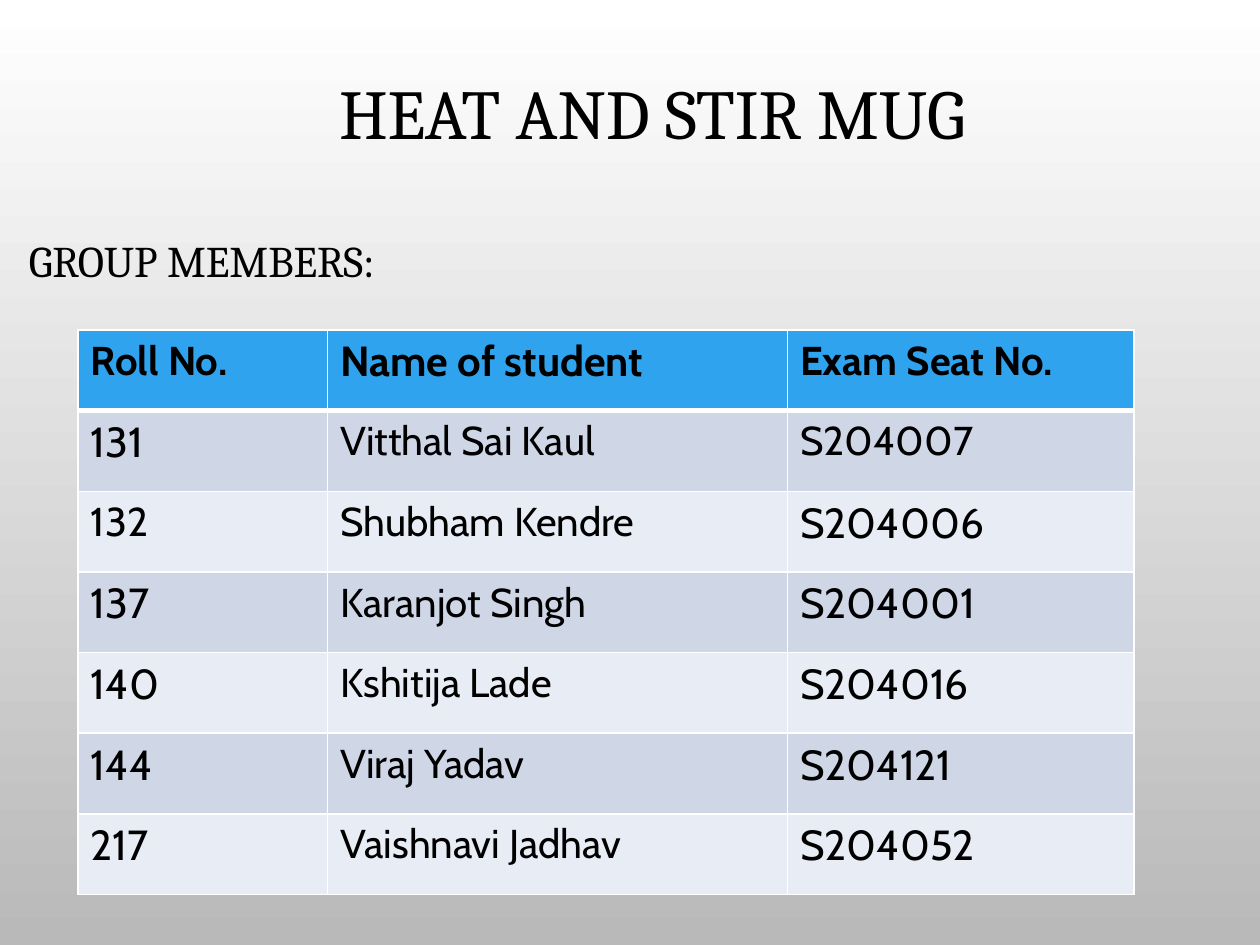
from dataclasses import dataclass

import lxml.etree
import pptx
import pptx.dml.color
import pptx.enum.text
import pptx.oxml.ns
import pptx.util

Inches = pptx.util.Inches
Pt = pptx.util.Pt


@dataclass(frozen=True)
class Theme:
    heading_font: str = "Cambria"
    table_font: str = "Cabin"
    text: str = "000000"
    background_top: str = "FFFFFF"
    background_bottom: str = "B9B9B9"
    border: str = "FFFFFF"
    header_fill: str = "2FA3EE"
    row_fills: tuple[str, str] = ("CFD7E7", "E8ECF4")
    title_size: int = 40
    subtitle_size: int = 25
    small_size: int = 23
    large_size: int = 24


@dataclass(frozen=True)
class Student:
    roll: str
    name: str
    seat: str


THEME = Theme()
HEADINGS = ("Roll No.", "Name of student", "Exam Seat No.")
STUDENTS = (
    Student("131", "Vitthal Sai Kaul", "S204007"),
    Student("132", "Shubham Kendre", "S204006"),
    Student("137", "Karanjot Singh", "S204001"),
    Student("140", "Kshitija Lade", "S204016"),
    Student("144", "Viraj Yadav", "S204121"),
    Student("217", "Vaishnavi Jadhav", "S204052"),
)
# Headings, names and two of the numbers are set in the smaller size
SMALL_TEXTS = {"Roll No.", "Exam Seat No.", "132", "S204007"} | {
    student.name for student in STUDENTS
}
COLUMN_WIDTHS = (1.98, 3.65, 2.75)
ROW_HEIGHT = 0.64


def rgb(value: str) -> pptx.dml.color.RGBColor:
    return pptx.dml.color.RGBColor.from_string(value)


def format_text(paragraph, font_name: str, size: int, bold: bool = False) -> None:
    for run in paragraph.runs:
        run.font.name = font_name
        run.font.size = Pt(size)
        run.font.bold = bold
        run.font.color.rgb = rgb(THEME.text)


def place(shape, left: float, top: float, width: float, height: float) -> None:
    shape.left, shape.top = Inches(left), Inches(top)
    shape.width, shape.height = Inches(width), Inches(height)


def set_borders(cell, bottom_width: int) -> None:
    qn = pptx.oxml.ns.qn
    properties = cell._tc.get_or_add_tcPr()
    widths = {"lnL": 1, "lnR": 1, "lnT": 1, "lnB": bottom_width}
    for position, (side, width) in enumerate(widths.items()):
        line = lxml.etree.Element(qn(f"a:{side}"), w=str(Pt(width)))
        fill = lxml.etree.SubElement(line, qn("a:solidFill"))
        lxml.etree.SubElement(fill, qn("a:srgbClr"), val=THEME.border)
        properties.insert(position, line)


def fill_cell(cell, text: str, fill: str, is_header: bool) -> None:
    cell.text_frame.text = text
    size = THEME.small_size if text in SMALL_TEXTS else THEME.large_size
    format_text(cell.text_frame.paragraphs[0], THEME.table_font, size, is_header)
    cell.fill.solid()
    cell.fill.fore_color.rgb = rgb(fill)
    set_borders(cell, 3 if is_header else 1)


def set_background(slide) -> None:
    fill = slide.background.fill
    fill.gradient()
    fill.gradient_angle = 270
    colors = (THEME.background_top, THEME.background_bottom)
    for stop, position, color in zip(fill.gradient_stops, (0, 1), colors):
        stop.position = position
        stop.color.rgb = rgb(color)


def add_headings(slide) -> None:
    # Title
    title = slide.shapes.title
    place(title, 0.5, 0.3, 9.35, 1.25)
    title.text_frame.text = "HEAT AND STIR MUG"
    title.text_frame.vertical_anchor = pptx.enum.text.MSO_ANCHOR.MIDDLE
    paragraph = title.text_frame.paragraphs[0]
    paragraph.alignment = pptx.enum.text.PP_ALIGN.CENTER
    paragraph.line_spacing = 0.9
    format_text(paragraph, THEME.heading_font, THEME.title_size)

    # Line above the table, without the template's bullet
    body = slide.placeholders[1]
    place(body, 0.13, 1.4, 9, 6.1)
    body.text_frame.text = "GROUP MEMBERS:"
    body.text_frame.margin_top = Inches(0.37)
    paragraph = body.text_frame.paragraphs[0]
    properties = paragraph._p.get_or_add_pPr()
    properties.set("marL", "0")
    properties.set("indent", "0")
    lxml.etree.SubElement(properties, pptx.oxml.ns.qn("a:buNone"))
    paragraph.line_spacing = 1.2
    paragraph.space_before = Pt(0)
    format_text(paragraph, THEME.heading_font, THEME.subtitle_size)


def add_student_table(slide) -> None:
    rows = [HEADINGS] + [(s.roll, s.name, s.seat) for s in STUDENTS]
    table = slide.shapes.add_table(
        len(rows), len(HEADINGS), Inches(0.62), Inches(2.62),
        Inches(sum(COLUMN_WIDTHS)), Inches(ROW_HEIGHT * len(rows)),
    ).table
    for column, width in zip(table.columns, COLUMN_WIDTHS):
        column.width = Inches(width)
    for row_index, texts in enumerate(rows):
        table.rows[row_index].height = Inches(ROW_HEIGHT)
        is_header = row_index == 0
        fill = THEME.header_fill if is_header else THEME.row_fills[(row_index - 1) % 2]
        for column_index, text in enumerate(texts):
            fill_cell(table.cell(row_index, column_index), text, fill, is_header)


def main() -> None:
    presentation = pptx.Presentation()
    presentation.slide_width, presentation.slide_height = Inches(10), Inches(7.5)
    slide = presentation.slides.add_slide(presentation.slide_layouts[1])
    set_background(slide)
    add_headings(slide)
    add_student_table(slide)
    presentation.save("out.pptx")


if __name__ == "__main__":
    main()
